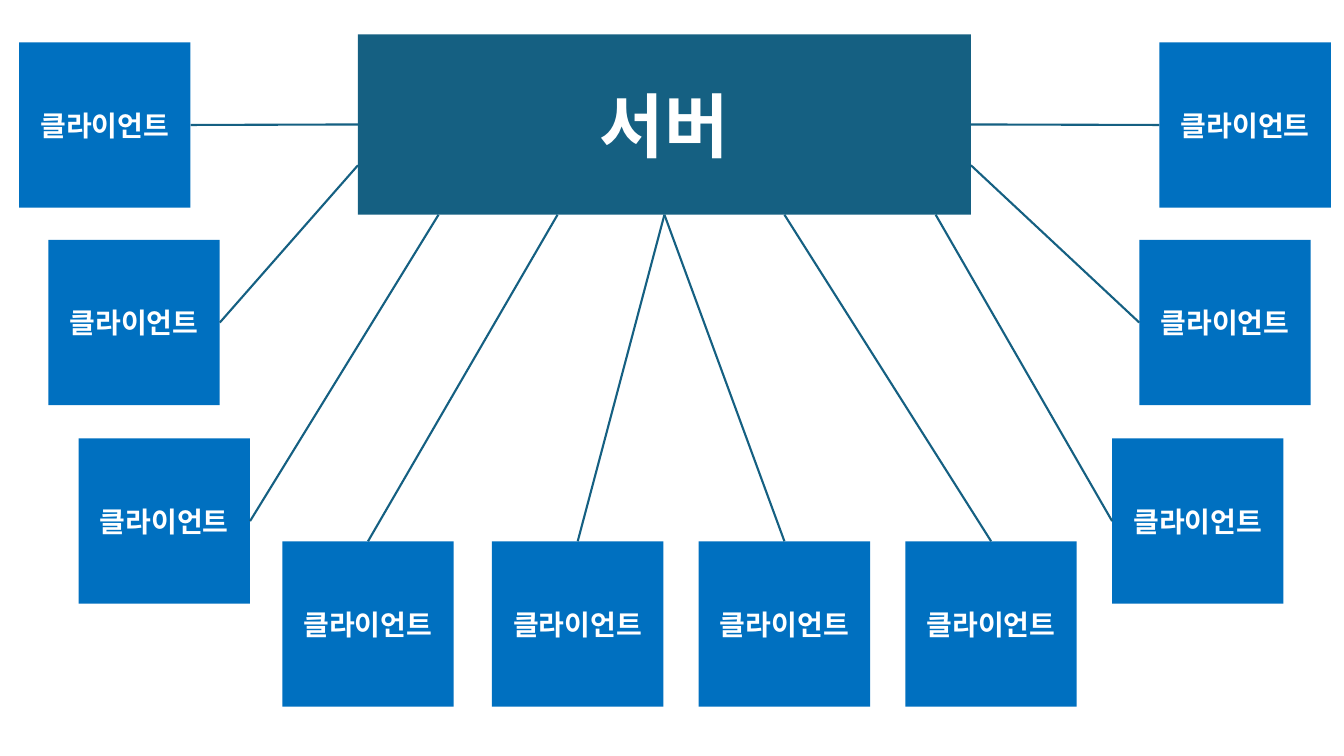
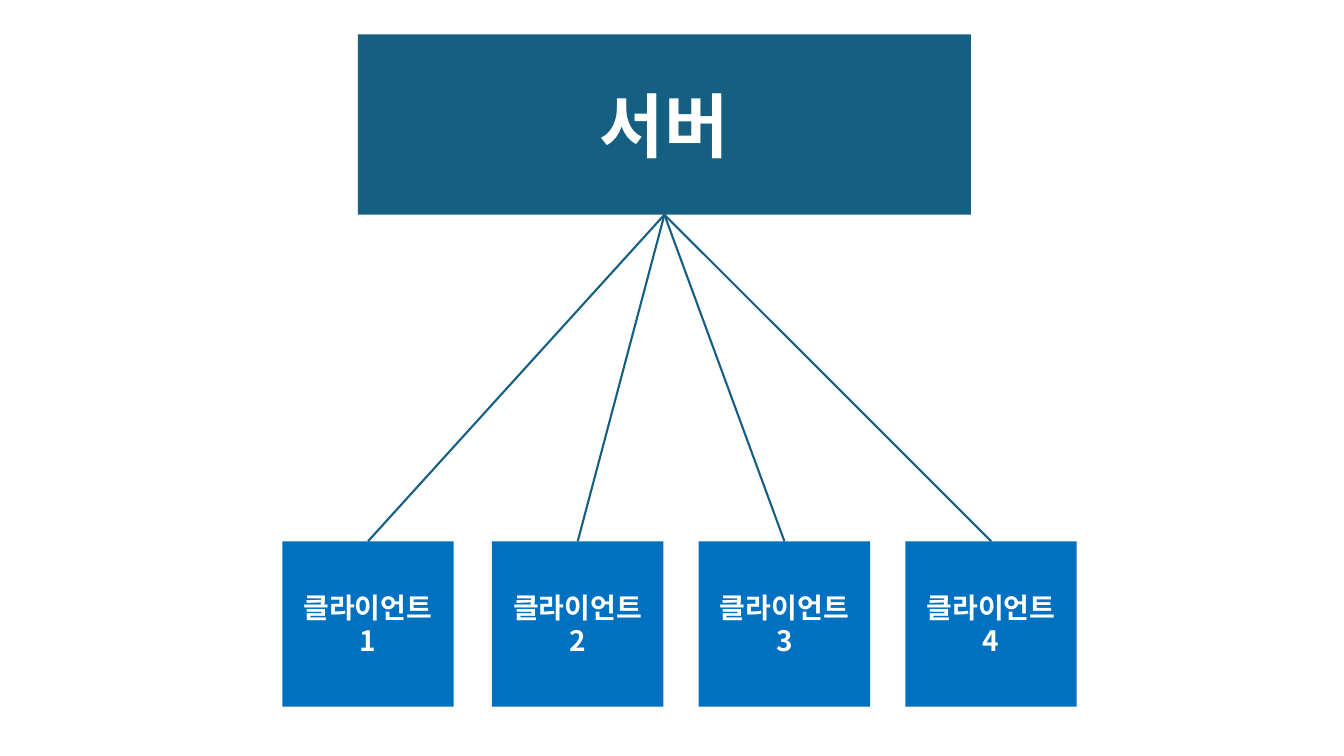
from pptx import Presentation
from pptx import util as u
from pptx.dml.color import RGBColor
from pptx.enum import shapes, text
from pptx.oxml.ns import qn

FONT = "Noto Sans CJK KR"
TEAL, BLUE, WHITE = "156082", "0070C0", "FFFFFF"
TOP, LEFT, BOTTOM, RIGHT = range(4)
SERVER_BOX = (3.55, 0.34, 6.08, 1.79)
SERVER_LEFT, SERVER_RIGHT, SERVER_BOTTOM = 3.55, 9.63, 2.13
CLIENT_SIZE = (1.7, 1.64)
ROW_TOP = 5.37
ROW_LEFTS = (2.8, 4.88, 6.93, 8.98)
ROW_TARGETS = ((5.53, SERVER_BOTTOM), None, None, (7.78, SERVER_BOTTOM))
SIDE_TOPS = (0.42, 2.38, 4.35)
SIDES = (
    (RIGHT, LEFT, (0.19, 0.48, 0.78),
     (None, (SERVER_LEFT, 1.64), (4.35, SERVER_BOTTOM))),
    (LEFT, RIGHT, (11.5, 11.3, 11.03),
     (None, (SERVER_RIGHT, 1.64), (9.28, SERVER_BOTTOM))),
)


def color(value):
    return RGBColor.from_string(value)


class Diagram:
    """Draws server and client diagrams in one shared style."""

    def __init__(self):
        self.deck = Presentation()
        self.deck.slide_width = u.Inches(13.33)
        self.deck.slide_height = u.Inches(7.5)

    def new_slide(self):
        self.slide = self.deck.slides.add_slide(self.deck.slide_layouts[6])
        self.server = self.box(SERVER_BOX, "서버", TEAL, 50)

    def box(self, bounds, label, fill, size):
        box = self.slide.shapes.add_shape(
            shapes.MSO_SHAPE.RECTANGLE, *map(u.Inches, bounds))
        box.shadow.inherit = False
        box.fill.solid()
        box.fill.fore_color.rgb = color(fill)
        box.line.fill.background()
        frame = box.text_frame
        frame.word_wrap = True
        frame.vertical_anchor = text.MSO_ANCHOR.MIDDLE
        frame.text = label
        for paragraph in frame.paragraphs:
            paragraph.alignment = text.PP_ALIGN.CENTER
            for run in paragraph.runs:
                self.style(run, size)
        return box

    def style(self, run, size):
        values = {"name": FONT, "size": u.Pt(size), "bold": True}
        for name, value in values.items():
            setattr(run.font, name, value)
        run.font.color.rgb = color(WHITE)
        east_asian = run.font._element.makeelement(qn("a:ea"), {"typeface": FONT})
        run.font._element.find(qn("a:latin")).addnext(east_asian)

    def client(self, left, top, label="클라이언트"):
        return self.box((left, top, *CLIENT_SIZE), label, BLUE, 20)

    def link(self, client, client_site, server_site, target=None):
        end = map(u.Inches, target or (0, 0))
        line = self.slide.shapes.add_connector(
            shapes.MSO_CONNECTOR.STRAIGHT, 0, 0, *end)
        line.begin_connect(client, client_site)
        if target is None:
            line.end_connect(self.server, server_site)
        line.line.color.rgb = color(TEAL)
        line.line.width = u.Pt(1.5)
        properties = line._element.spPr
        properties.append(properties.makeelement(qn("a:effectLst"), {}))

    def save(self):
        self.deck.save("out.pptx")


def many_clients(diagram):
    diagram.new_slide()
    for client_site, server_site, lefts, targets in SIDES:
        for left, top, target in zip(lefts, SIDE_TOPS, targets):
            client = diagram.client(left, top)
            diagram.link(client, client_site, server_site, target)
    for left, target in zip(ROW_LEFTS, ROW_TARGETS):
        diagram.link(diagram.client(left, ROW_TOP), TOP, BOTTOM, target)


def numbered_clients(diagram):
    diagram.new_slide()
    for number, left in enumerate(ROW_LEFTS, 1):
        client = diagram.client(left, ROW_TOP, f"클라이언트\n{number}")
        diagram.link(client, TOP, BOTTOM)


def main():
    diagram = Diagram()
    many_clients(diagram)
    numbered_clients(diagram)
    diagram.save()
    

if __name__ == "__main__":
    main()
